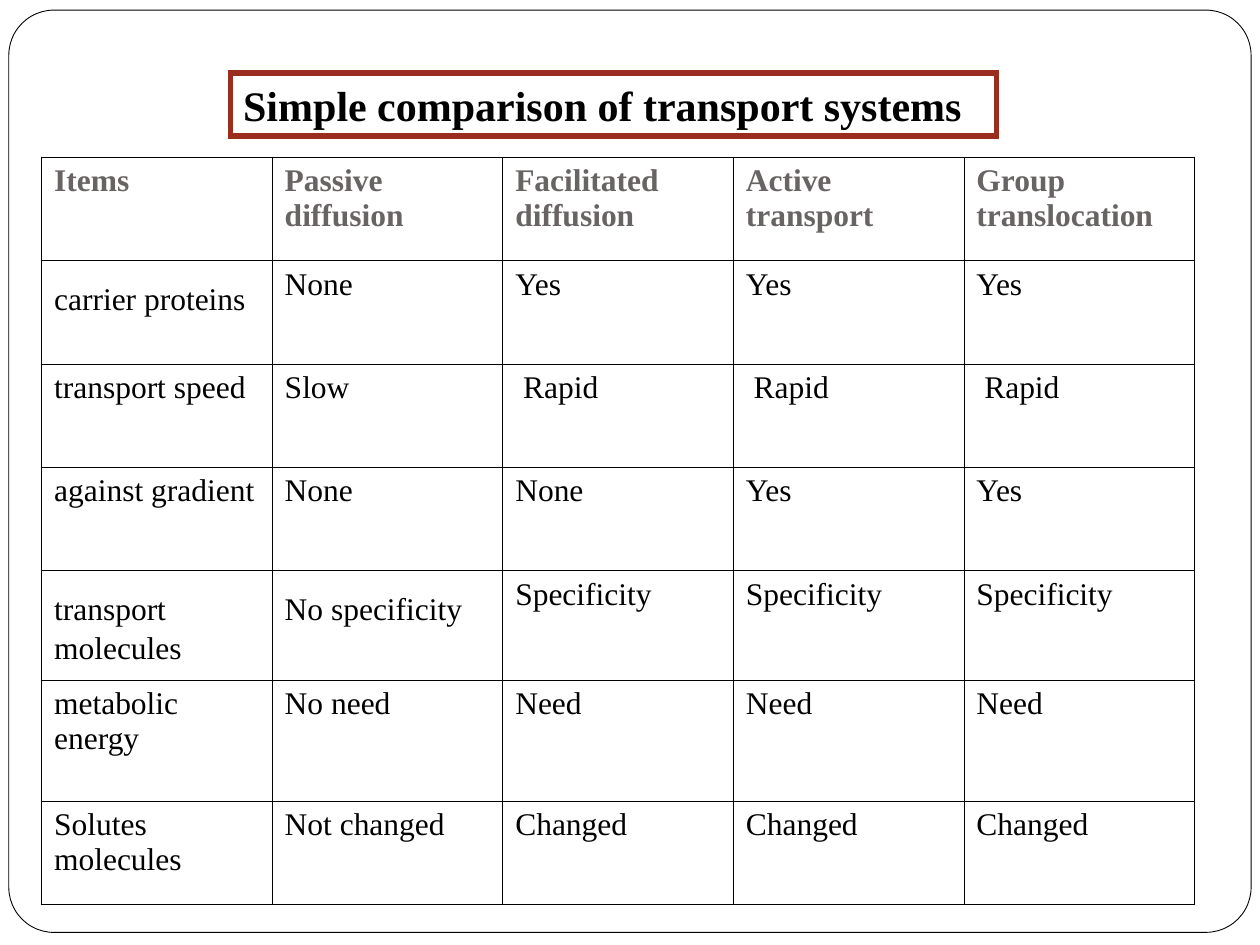
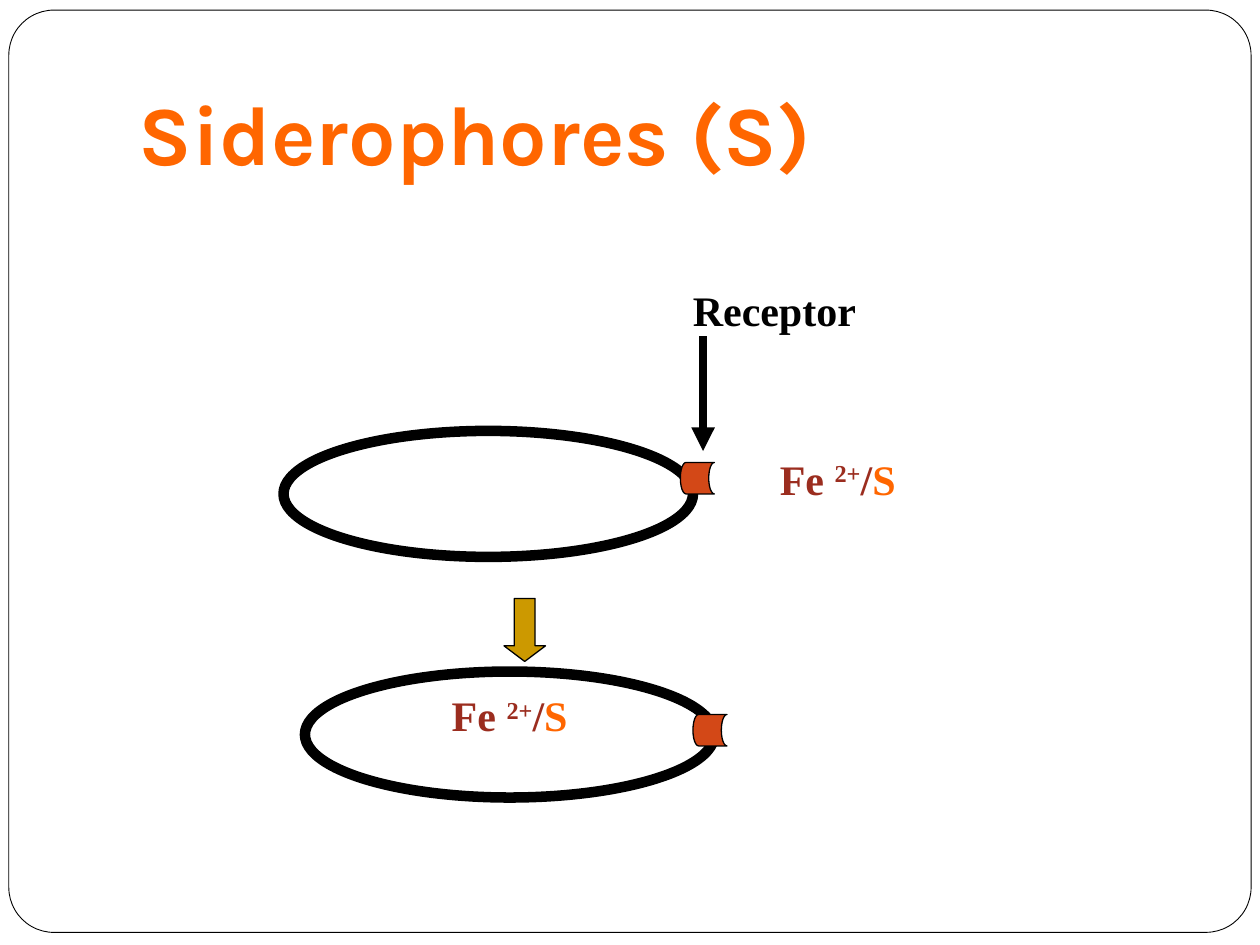
"""Build two slides on membrane transport systems and siderophores."""
from dataclasses import dataclass

from lxml import etree
from pptx import Presentation
from pptx.dml.color import RGBColor
from pptx.enum.shapes import MSO_CONNECTOR, MSO_SHAPE
from pptx.enum.text import MSO_ANCHOR, MSO_AUTO_SIZE, PP_ALIGN
from pptx.oxml.ns import qn
from pptx.util import Inches, Pt

ROUNDED, OVAL = MSO_SHAPE.ROUNDED_RECTANGLE, MSO_SHAPE.OVAL
DOWN_ARROW, STORED_DATA = MSO_SHAPE.DOWN_ARROW, MSO_SHAPE.FLOWCHART_STORED_DATA
STRAIGHT = MSO_CONNECTOR.STRAIGHT
TOP, BOTTOM = MSO_ANCHOR.TOP, MSO_ANCHOR.BOTTOM
LEFT, CENTER = PP_ALIGN.LEFT, PP_ALIGN.CENTER
NO_FIT, GROW = MSO_AUTO_SIZE.NONE, MSO_AUTO_SIZE.SHAPE_TO_FIT_TEXT

COLORS = {
    "black": "000000",
    "white": "FFFFFF",
    "header": "696464",
    "brick": "9B2D1F",
    "orange": "FF6600",
    "receptor": "D34817",
    "gold": "CC9900",
}
SERIF, DISPLAY = "Times New Roman", "Karla"
TITLE_ONLY = 5
THIN, THICK = 0.45, 1.08


@dataclass
class Run:
    """A stretch of text with one format."""
    text: str
    size: float = 24
    color: str = "black"
    bold: bool = True
    font: str = SERIF
    baseline: int = 0


@dataclass
class Figure:
    """A filled and outlined preset shape, measured in inches."""
    preset: MSO_SHAPE
    left: float
    top: float
    width: float
    height: float
    fill: str = "white"
    weight: float = 0.75


FRAME = Figure(ROUNDED, 0.07, 0.08, 9.86, 7.32, weight=0.5)
UPPER_CELL = Figure(OVAL, 2.25, 3.42, 3.25, 1, weight=6)
LOWER_CELL = Figure(OVAL, 2.42, 5.33, 3.25, 1, weight=6)
STEP_ARROW = Figure(DOWN_ARROW, 4, 4.75, 0.33, 0.5, "gold")
RECEPTORS = [Figure(STORED_DATA, left, top, 0.27, 0.25, "receptor")
             for left, top in ((5.5, 5.67), (5.4, 3.67))]
IRON_COMPLEX = [
    Run("Fe ", color="brick"),
    Run("2+", color="brick", baseline=30),
    Run("/", color="brick"),
    Run("S", color="orange"),
]
HEADERS = ["Items", "Passive diffusion", "Facilitated diffusion",
           "Active transport", "Group translocation"]
ROWS = [
    ["carrier proteins| ", "None", "Yes", "Yes", "Yes"],
    ["transport speed", "Slow", " Rapid", " Rapid", " Rapid"],
    ["against gradient", "None", "None", "Yes", "Yes"],
    ["transport| |molecules", "No specificity| ",
     "Specificity", "Specificity", "Specificity"],
    ["metabolic energy", "No need", "Need", "Need", "Need"],
    ["Solutes molecules", "Not changed", "Changed", "Changed", "Changed"],
]
ROW_HEIGHTS = [0.82, 0.82, 0.82, 0.82, 0.87, 0.96, 0.82]
COL_WIDTH = 1.83


def rgb(name: str) -> RGBColor:
    """Look up a named colour."""
    return RGBColor.from_string(COLORS[name])


def set_line(line, color: str, weight: float) -> None:
    """Colour a line and set its width."""
    line.color.rgb = rgb(color)
    line.width = Pt(weight)


def write(tf, runs: list[Run], align=LEFT) -> None:
    """Fill the first paragraph of a text frame run by run."""
    p = tf.paragraphs[0]
    p.alignment = align
    for run in runs:
        r = p.add_run()
        r.text = run.text
        r.font.name = run.font
        r.font.size = Pt(run.size)
        r.font.bold = run.bold
        r.font.color.rgb = rgb(run.color)
        if run.baseline:
            r._r.get_or_add_rPr().set("baseline", str(run.baseline * 1000))


def place(sp, left: float, top: float, width: float, height: float) -> None:
    """Move and size a shape in inches."""
    sp.left, sp.top = Inches(left), Inches(top)
    sp.width, sp.height = Inches(width), Inches(height)


def add_figure(s, fig: Figure):
    """Draw a preset shape."""
    sp = s.shapes.add_shape(fig.preset, Inches(fig.left), Inches(fig.top),
                            Inches(fig.width), Inches(fig.height))
    sp.shadow.inherit = False
    sp.fill.solid()
    sp.fill.fore_color.rgb = rgb(fig.fill)
    set_line(sp.line, "black", fig.weight)
    return sp


def add_label(s, left: float, top: float, width: float, runs: list[Run]):
    """Add an unwrapped text label that grows with its text."""
    sp = s.shapes.add_textbox(Inches(left), Inches(top), Inches(width), Inches(0.5))
    sp.text_frame.word_wrap = False
    sp.text_frame.auto_size = GROW
    write(sp.text_frame, runs)
    return sp


def add_slide(prs, title: Run, box: tuple[float, ...], anchor):
    """Add a framed slide with its title placed in the given box."""
    s = prs.slides.add_slide(prs.slide_layouts[TITLE_ONLY])
    frame = add_figure(s, FRAME)
    frame.adjustments[0] = 0.049
    s.shapes._spTree.insert(2, frame._element)
    place(s.shapes.title, *box)
    tf = s.shapes.title.text_frame
    tf.auto_size = NO_FIT
    tf.word_wrap = True
    tf.vertical_anchor = anchor
    write(tf, [title])
    return s


def set_borders(cell, widths: dict[str, float]) -> None:
    """Outline the four sides of a cell."""
    tc_pr = cell._tc.get_or_add_tcPr()
    for side, width in widths.items():
        ln = etree.SubElement(tc_pr, qn(f"a:ln{side}"), w=str(Pt(width)))
        fill = etree.SubElement(ln, qn("a:solidFill"))
        etree.SubElement(fill, qn("a:srgbClr"), val=COLORS["black"])


def add_comparison(s) -> None:
    """Add the table of transport systems."""
    rows = [HEADERS, *ROWS]
    last_row, last_col = len(rows) - 1, len(HEADERS) - 1
    table = s.shapes.add_table(
        len(rows), len(HEADERS), Inches(0.33), Inches(1.25),
        Inches(COL_WIDTH * len(HEADERS)), Inches(sum(ROW_HEIGHTS))).table
    table.first_row = table.horz_banding = False
    for col in table.columns:
        col.width = Inches(COL_WIDTH)
    for i, texts in enumerate(rows):
        table.rows[i].height = Inches(ROW_HEIGHTS[i])
        for j, text in enumerate(texts):
            cell = table.cell(i, j)
            set_borders(cell, {
                "L": THICK if j == 0 else THIN,
                "R": THICK if j == last_col else THIN,
                "T": THICK if i == 0 else THIN,
                "B": THICK if i == last_row and j < last_col else THIN,
            })
            cell.fill.background()
            color = "header" if i == 0 else "black"
            write(cell.text_frame, [Run(part, 28 if part == " " else 18, color, i == 0)
                                    for part in text.split("|")])


def add_pointer(s, x: float, tip: float, end: float) -> None:
    """Draw a vertical arrow with its head at the tip."""
    line = s.shapes.add_connector(STRAIGHT, Inches(x), Inches(tip), Inches(x), Inches(end))
    set_line(line.line, "black", 4.5)
    etree.SubElement(line.line._get_or_add_ln(), qn("a:headEnd"), type="triangle")
    etree.SubElement(line._element.spPr, qn("a:effectLst"))


def build_comparison(prs) -> None:
    """Build the slide that compares transport systems."""
    s = add_slide(prs, Run("Simple comparison of transport systems"),
                  (1.83, 0.58, 6.08, 0.5), TOP)
    border = s.shapes.title.line
    set_line(border, "brick", 3)
    etree.SubElement(border._get_or_add_ln(), qn("a:miter"), lim="800000")
    add_comparison(s)


def build_siderophores(prs) -> None:
    """Build the slide that shows siderophore uptake."""
    s = add_slide(prs, Run("Siderophores (S)", 48, "orange", font=DISPLAY),
                  (1, 0.3, 8.5, 1.25), BOTTOM)
    s.shapes.title.text_frame.margin_bottom = Inches(0.1)
    add_figure(s, UPPER_CELL)
    iron = add_label(s, 6.09, 3.55, 1.12, IRON_COMPLEX)
    set_line(iron.line, "white", 0.75)
    add_pointer(s, 5.58, 3.58, 2.67)
    add_label(s, 5.4, 2.21, 1.55, [Run("Receptor")])
    tf = add_figure(s, LOWER_CELL).text_frame
    tf.word_wrap = False
    tf.vertical_anchor = TOP
    tf.margin_top = 0
    write(tf, IRON_COMPLEX, CENTER)
    arrow = add_figure(s, STEP_ARROW)
    arrow.adjustments[1] = 0.375
    for receptor in RECEPTORS:
        add_figure(s, receptor)


def main() -> None:
    """Build and save the presentation."""
    prs = Presentation()
    prs.slide_width, prs.slide_height = Inches(10), Inches(7.5)
    build_comparison(prs)
    build_siderophores(prs)
    prs.save("out.pptx")


if __name__ == "__main__":
    main()
